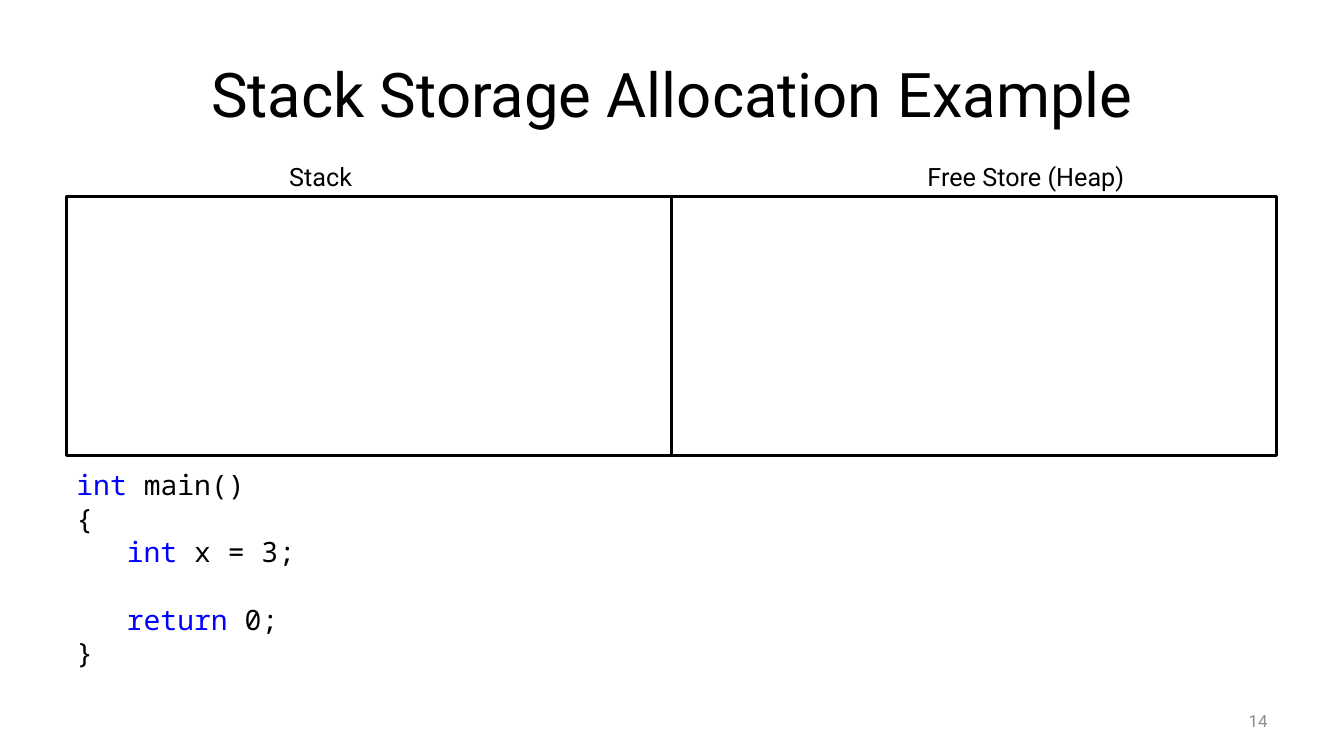
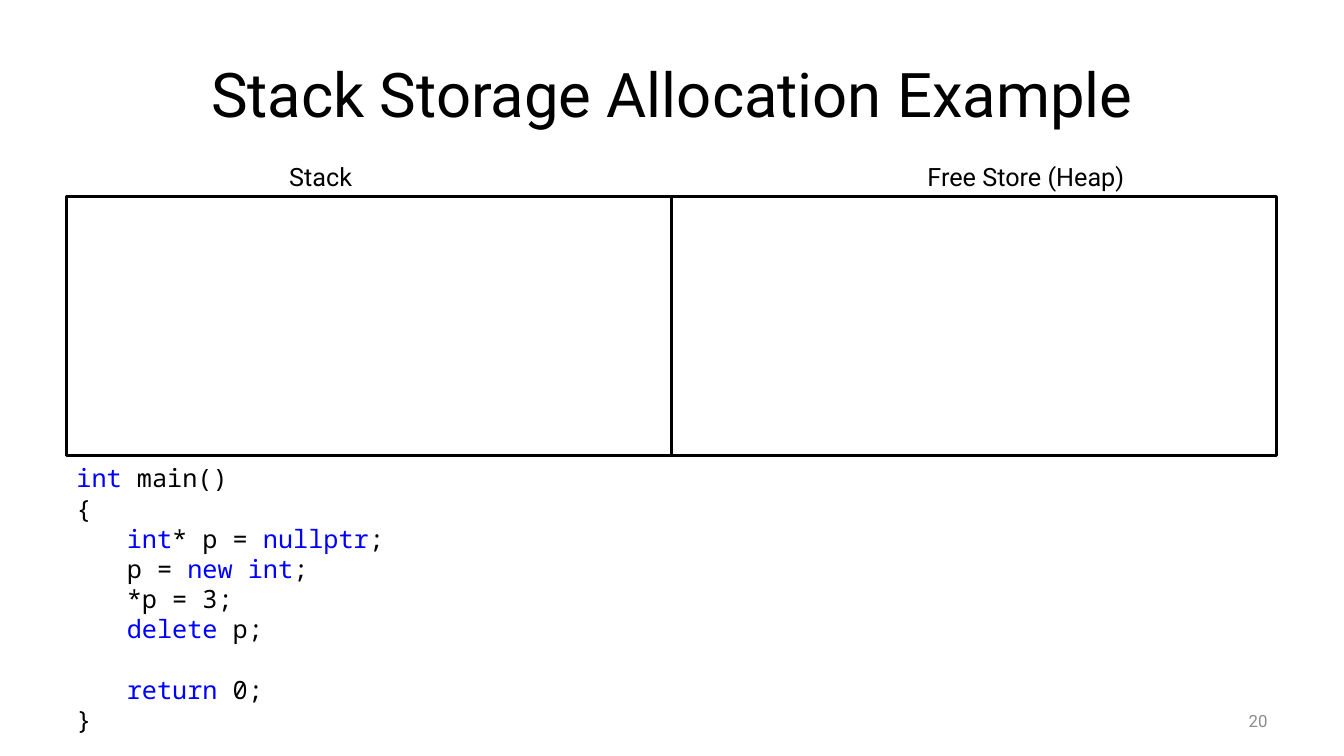
from pptx import Presentation
from pptx.dml.color import RGBColor
from pptx.enum.shapes import MSO_SHAPE as Shape
from pptx.enum.text import MSO_ANCHOR as Anchor, PP_ALIGN as Align
from pptx.util import Inches, Pt

BLACK, WHITE, GRAY, BLUE = "000000", "FFFFFF", "8C8C8C", "0000FF"
BODY_FONT, CODE_FONT = "Roboto", "Noto Sans Mono"
LEFT, WIDTH = 0.66, 12
LINE_HEIGHT = 1.2  # line pitch of the code font, in multiples of its size

# Keywords stand between backticks; three leading spaces make an indented line
STACK_CODE = """`int` main()
{
   `int` x = 3;

   `return` 0;
}"""

HEAP_CODE = """`int` main()
{
   `int`* p = `nullptr`;
   p = `new int`;
   *p = 3;
   `delete` p;

   `return` 0;
}"""


def color(value):
    return RGBColor.from_string(value)


def add_run(paragraph, text, size, font=BODY_FONT, fill=BLACK):
    run = paragraph.add_run()
    run.text = text
    run.font.size = Pt(size)
    run.font.name = font
    run.font.color.rgb = color(fill)


def add_frame(slide, box, anchor=Anchor.TOP):
    shape = slide.shapes.add_textbox(*map(Inches, box))
    frame = shape.text_frame
    frame.word_wrap = True
    frame.vertical_anchor = anchor
    return frame


def add_text(slide, box, text, size, anchor=Anchor.TOP, align=Align.LEFT, fill=BLACK):
    paragraph = add_frame(slide, box, anchor).paragraphs[0]
    paragraph.alignment = align
    add_run(paragraph, text, size, fill=fill)


def add_panel(slide, box, label, label_offset, label_width):
    """A memory area with its label above the top edge."""
    left, top, width, height = box
    panel = slide.shapes.add_shape(Shape.RECTANGLE, *map(Inches, box))
    panel.shadow.inherit = False
    panel.fill.solid()
    panel.fill.fore_color.rgb = color(WHITE)
    panel.line.color.rgb = color(BLACK)
    panel.line.width = Pt(2)
    add_text(slide, (left + label_offset, top - 0.4, label_width, 0.4), label, 18)


def add_code(slide, box, code, size):
    frame = add_frame(slide, box)
    paragraph, gap = frame.paragraphs[0], 0
    for number, line in enumerate(code.splitlines()):
        if not line:
            gap += size * LINE_HEIGHT
            continue
        if number:
            paragraph = frame.add_paragraph()
        paragraph.space_before = Pt(gap)
        gap = 0
        if line.startswith("   "):
            properties = paragraph._p.get_or_add_pPr()
            properties.set("marL", str(Inches(0.5)))
            properties.set("indent", "0")
        for index, part in enumerate(line.strip().split("`")):
            if part:
                add_run(paragraph, part, size, CODE_FONT, BLUE if index % 2 else BLACK)


def add_example(presentation, number, code, code_top, code_height, code_size):
    slide = presentation.slides.add_slide(presentation.slide_layouts[6])
    # Title and slide number
    add_text(slide, (0.67, 0.3, WIDTH, 1.25), "Stack Storage Allocation Example", 44,
             anchor=Anchor.MIDDLE, align=Align.CENTER)
    add_text(slide, (9.56, 6.95, 3.11, 0.4), str(number), 12,
             anchor=Anchor.MIDDLE, align=Align.RIGHT, fill=GRAY)
    # Memory panels
    panel_width = WIDTH / 2
    labels = [("Stack", 2.11, 1.21), ("Free Store (Heap)", 2.44, 2.38)]
    for column, label in enumerate(labels):
        add_panel(slide, (LEFT + column * panel_width, 1.95, panel_width, 2.57), *label)
    # Program
    add_code(slide, (LEFT, code_top, WIDTH, code_height), code, code_size)


def main():
    presentation = Presentation()
    presentation.slide_width = Inches(13.33)
    presentation.slide_height = Inches(7.5)
    add_example(presentation, 14, STACK_CODE, 4.59, 2.12, 20)
    add_example(presentation, 20, HEAP_CODE, 4.54, 2.83, 18)
    presentation.save("out.pptx")


if __name__ == "__main__":
    main()
